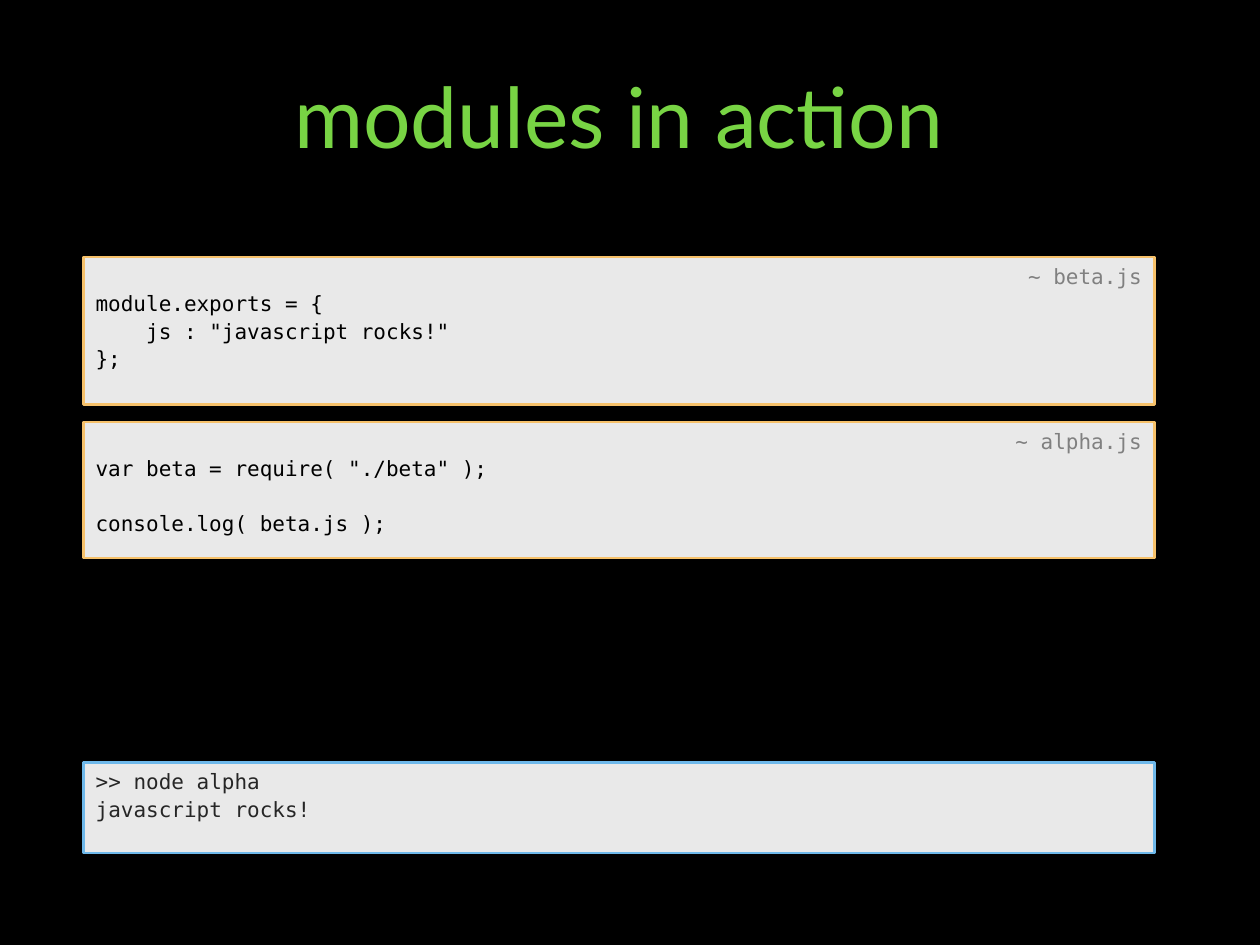
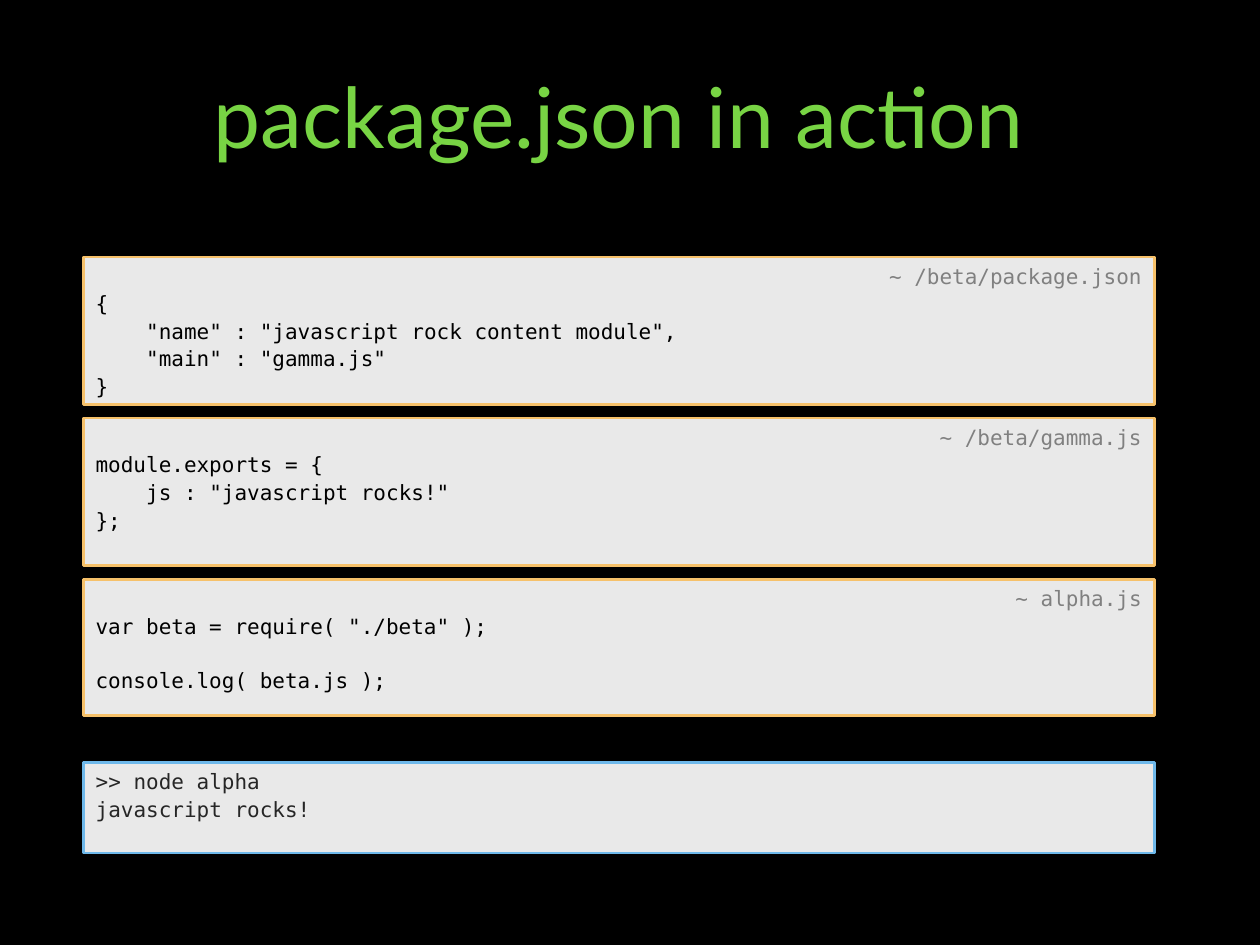
"""Build two slides that show modules and package.json at work in JavaScript."""
import dataclasses

import pptx
import pptx.dml.color
import pptx.enum.shapes
import pptx.enum.text
import pptx.util

Cm = pptx.util.Cm
Pt = pptx.util.Pt
Align = pptx.enum.text.PP_ALIGN
Anchor = pptx.enum.text.MSO_ANCHOR

EXPORTS = ["module.exports = {", "\tjs : \"javascript rocks!\"", "};"]
ALPHA = ("~ alpha.js", 2.74, ["var beta = require( \"./beta\" );", "", "console.log( beta.js );"])
CONSOLE = [">> node alpha", "javascript rocks!"]
MANIFEST = [
    "{",
    "\t\"name\" : \"javascript rock content module\",",
    "\t\"main\" : \"gamma.js\"",
    "}",
]
PAGES = [
    {
        "title": "modules in action",
        "gap": 0.36,
        "files": [("~ beta.js", 2.97, EXPORTS), ALPHA],
    },
    {
        "title": "package.json in action",
        "gap": 0.28,
        "files": [
            ("~ /beta/package.json", 2.97, MANIFEST),
            ("~ /beta/gamma.js", 2.97, EXPORTS),
            ALPHA,
        ],
    },
]


@dataclasses.dataclass(frozen=True)
class Theme:
    """Hold the colours, fonts, sizes and common places."""

    background: str = "000000"
    title: str = "78D444"
    panel: str = "E9E9E9"
    file_line: str = "F6C16A"
    console_line: str = "6EB8EA"
    file_name: str = "808080"
    code: str = "000000"
    console: str = "262626"
    title_font: str = "Lato"
    code_font: str = "DejaVu Sans Mono"
    title_size: float = 48
    code_size: float = 12
    line_height: float = 14
    space_before: float = 1.4
    code_indent: float = 1.02
    left: float = 1.68
    width: float = 21.59
    title_top: float = 0.33
    title_height: float = 3.96
    files_top: float = 5.18
    console_top: float = 15.37
    console_height: float = 1.83


THEME = Theme()


def rgb(value):
    """Turn a hex string into a colour."""
    return pptx.dml.color.RGBColor.from_string(value)


def place(shape, top, height):
    """Put a shape in the shared column."""
    shape.left, shape.top = Cm(THEME.left), Cm(top)
    shape.width, shape.height = Cm(THEME.width), Cm(height)


def add_span(para, text, font, size, colour):
    """Add one formatted run."""
    span = para.add_run()
    span.text = text
    span.font.name = font
    span.font.size = Pt(size)
    span.font.color.rgb = rgb(colour)


def add_title(page, text):
    """Move and fill the title placeholder."""
    title = page.shapes.title
    place(title, THEME.title_top, THEME.title_height)
    title.text_frame.vertical_anchor = Anchor.MIDDLE
    para = title.text_frame.paragraphs[0]
    para.alignment = Align.CENTER
    add_span(para, text, THEME.title_font, THEME.title_size, THEME.title)


def add_panel(page, top, height, line_colour):
    """Add an outlined panel and return its text frame."""
    box = page.shapes.add_shape(pptx.enum.shapes.MSO_SHAPE.RECTANGLE, 0, 0, 0, 0)
    place(box, top, height)
    box.shadow.inherit = False
    box.fill.solid()
    box.fill.fore_color.rgb = rgb(THEME.panel)
    box.line.color.rgb = rgb(line_colour)
    box.line.width = Pt(1.5)
    box.text_frame.word_wrap = True
    box.text_frame.vertical_anchor = Anchor.TOP
    return box.text_frame


def add_lines(frame, lines, colour, alignment=Align.LEFT):
    """Add code lines, turning tabs into indents and empty lines into spacing."""
    space = THEME.space_before
    for line in lines:
        if not line:
            space += THEME.line_height + THEME.space_before
            continue
        para = frame.paragraphs[0]
        if para.runs:
            para = frame.add_paragraph()
        para.alignment = alignment
        para.space_before = Pt(space)
        if line.startswith("\t"):
            properties = para._p.get_or_add_pPr()
            properties.set("marL", str(Cm(THEME.code_indent)))
            properties.set("indent", "0")
        add_span(para, line.lstrip("\t"), THEME.code_font, THEME.code_size, colour)
        space = THEME.space_before


def add_page(deck, content):
    """Add a slide with stacked files above a console."""
    page = deck.slides.add_slide(deck.slide_layouts[5])
    add_title(page, content["title"])
    top = THEME.files_top
    for name, height, lines in content["files"]:
        frame = add_panel(page, top, height, THEME.file_line)
        add_lines(frame, [name], THEME.file_name, Align.RIGHT)
        add_lines(frame, lines, THEME.code)
        top += height + content["gap"]
    frame = add_panel(page, THEME.console_top, THEME.console_height, THEME.console_line)
    add_lines(frame, CONSOLE, THEME.console)


def main():
    """Build and save the deck."""
    deck = pptx.Presentation()
    deck.slide_width, deck.slide_height = Cm(25.4), Cm(19.05)
    fill = deck.slide_master.background.fill
    fill.solid()
    fill.fore_color.rgb = rgb(THEME.background)
    for content in PAGES:
        add_page(deck, content)
    deck.save("out.pptx")


if __name__ == "__main__":
    main()
